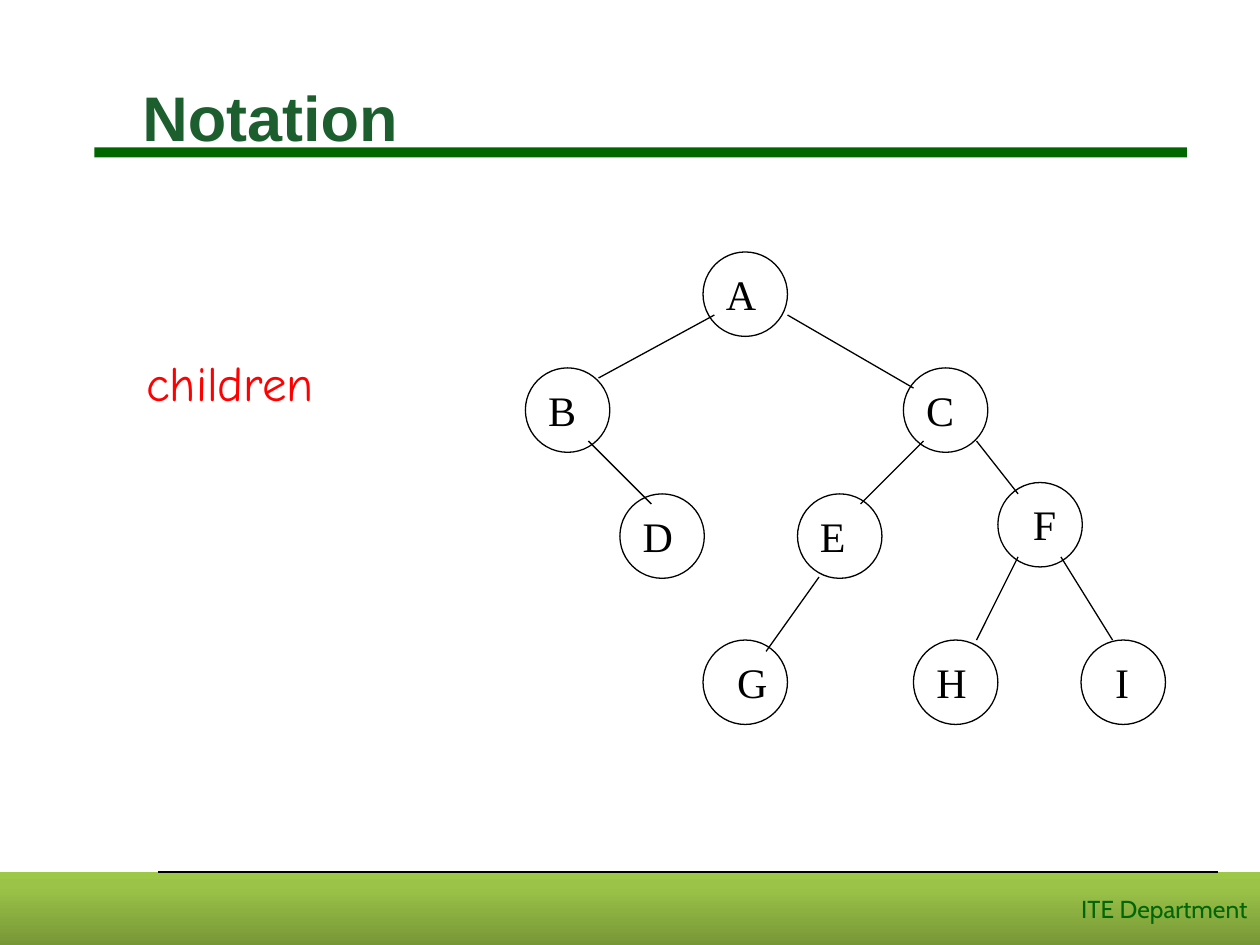
from copy import deepcopy

from lxml.etree import SubElement
from pptx import Presentation
from pptx.dml.color import RGBColor
from pptx.enum.shapes import MSO_CONNECTOR as Connector, MSO_SHAPE as Shape
from pptx.enum.text import MSO_ANCHOR as Anchor, PP_ALIGN as Align
from pptx.oxml.ns import qn
from pptx.util import Inches, Pt

COLORS = {
    "ink": "000000", "rule": "006600", "title": "1C5E2D", "accent": "FF0000",
    "band_dark": "779737", "band_mid": "9BC348", "band_light": "9DC746",
}
NODE_SIZE = 0.67
NODES = {
    "A": (5.58, 2.00, 0.08, 0.44), "B": (4.17, 2.92, 0.08, 0.42),
    "C": (7.17, 2.92, 0.08, 0.42), "D": (4.92, 3.92, 0.08, 0.44),
    "E": (6.33, 3.92, 0.08, 0.40), "F": (7.92, 3.83, 0.17, 0.39),
    "G": (5.58, 5.08, 0.17, 0.44), "H": (7.25, 5.08, 0.08, 0.44),
    "I": (8.58, 5.08, 0.17, 0.31),
}
EDGES = [
    (5.67, 2.50, 4.75, 3.00), (6.25, 2.50, 7.25, 3.08),
    (4.67, 3.50, 5.17, 4.00), (7.33, 3.50, 6.83, 4.00),
    (7.75, 3.50, 8.08, 3.92), (6.50, 4.58, 6.08, 5.17),
    (8.08, 4.42, 7.75, 5.08), (8.42, 4.42, 8.83, 5.08),
]


class TreeSlide:
    """Draws styled elements on one slide."""

    def __init__(self, slide):
        self.slide = slide
        self.shapes = slide.shapes

    def color(self, name):
        return RGBColor.from_string(COLORS[name])

    def shape(self, kind, left, top, width, height):
        shape = self.shapes.add_shape(
            kind, Inches(left), Inches(top), Inches(width), Inches(height))
        shape.shadow.inherit = False
        shape.line.fill.background()
        return shape

    def bar(self, left, top, width, height, color):
        bar = self.shape(Shape.RECTANGLE, left, top, width, height)
        bar.fill.solid()
        bar.fill.fore_color.rgb = self.color(color)

    def label(self, shape, text, font, size, color, align, bold=False):
        paragraph = shape.text_frame.paragraphs[0]
        paragraph.text = text
        paragraph.alignment = align
        paragraph.font.name = font
        paragraph.font.size = Pt(size)
        paragraph.font.bold = bold
        paragraph.font.color.rgb = self.color(color)

    def text(self, left, top, width, height, text, font, size, color,
             align=Align.RIGHT, bold=False, wrap=False, anchor=Anchor.TOP):
        box = self.shapes.add_textbox(
            Inches(left), Inches(top), Inches(width), Inches(height))
        box.text_frame.word_wrap = wrap
        box.text_frame.vertical_anchor = anchor
        self.label(box, text, font, size, color, align, bold)
        return box

    def line(self, x1, y1, x2, y2):
        line = self.shapes.add_connector(
            Connector.STRAIGHT, Inches(x1), Inches(y1), Inches(x2), Inches(y2))
        line.line.color.rgb = self.color("ink")
        line.line.width = Pt(0.75)
        SubElement(line._element.spPr, qn("a:effectLst"))

    def node(self, letter, left, top, offset, width):
        circle = self.shape(Shape.OVAL, left, top, NODE_SIZE, NODE_SIZE)
        circle.fill.background()
        circle.line.color.rgb = self.color("ink")
        circle.line.width = Pt(0.75)
        self.text(left + offset, top + 0.08, width, 0.5,
                  letter, "Times New Roman", 24, "ink")

    def footer(self, text):
        band = self.shape(Shape.RECTANGLE, 0, 6.92, 10, 0.58)
        band.fill.gradient()
        band.fill.gradient_angle = 90
        stop_list = band._element.spPr.find(".//" + qn("a:gsLst"))
        stop_list.append(deepcopy(stop_list[-1]))
        stops = zip(band.fill.gradient_stops, (0, 0.8, 1),
                    ("band_dark", "band_mid", "band_light"))
        for stop, position, color in stops:
            stop.position = position
            stop.color.rgb = self.color(color)
        band.text_frame.vertical_anchor = Anchor.MIDDLE
        self.label(band, text, "Cabin", 14, "rule", Align.RIGHT)
        self.line(1.25, 6.92, 9.67, 6.92)

    def title(self, text):
        self.bar(0.75, 1.17, 8.67, 0.08, "rule")
        title = self.text(0.5, 0.3, 9, 1.25, text, "Arial", 36, "title",
                          Align.LEFT, True, True, Anchor.MIDDLE)
        title.text_frame.margin_left = Inches(0.63)


def main():
    presentation = Presentation()
    presentation.slide_width = Inches(10)
    presentation.slide_height = Inches(7.5)
    page = TreeSlide(presentation.slides.add_slide(presentation.slide_layouts[6]))
    page.footer("ITE Department")
    page.title("Notation")
    for edge in EDGES:
        page.line(*edge)
    for letter, place in NODES.items():
        page.node(letter, *place)
    page.text(0.92, 2.75, 1.67, 0.57, "children", "Comic Neue", 28, "accent")
    presentation.save("out.pptx")


if __name__ == "__main__":
    main()
